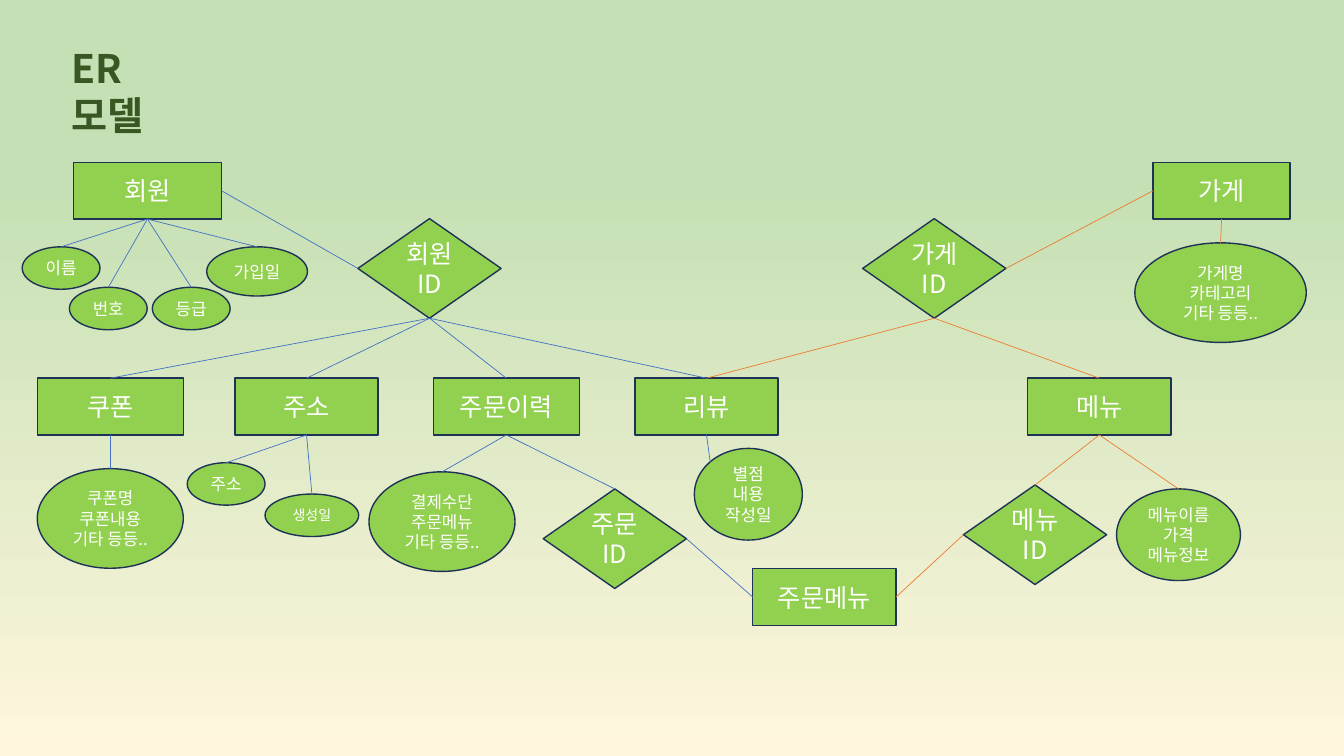
from copy import deepcopy
from lxml.etree import SubElement
from pptx import Presentation
from pptx.dml.color import RGBColor
from pptx.enum.shapes import MSO_CONNECTOR, MSO_SHAPE
from pptx.enum.text import MSO_ANCHOR, PP_ALIGN
from pptx.oxml.ns import qn
from pptx.util import Cm, Pt

FONT = "Noto Sans CJK KR"
COLORS = {"fill": "92D050", "outline": "1E3256", "text": "FFFFFF", "title": "385723",
          "member": "4472C4", "store": "ED7D31"}
BACKGROUND = [(0, "FFF6DD"), (0.76, "C5E0B4"), (1, "C5E0B4")]
TITLE = "ER 모델"

# Entities: name -> text, left, top, width (cm)
ENTITY_H = 1.43
ENTITIES = {
    "member": ("회원", 1.85, 4.09, 3.73),
    "store": ("가게", 29.06, 4.09, 3.45),
    "coupon": ("쿠폰", 0.94, 9.53, 3.68),
    "address": ("주소", 5.92, 9.53, 3.61),
    "history": ("주문이력", 10.92, 9.53, 3.68),
    "review": ("리뷰", 16.0, 9.53, 3.61),
    "menu": ("메뉴", 25.9, 9.53, 3.61),
    "order_menu": ("주문메뉴", 18.97, 14.33, 3.61),
}

# Relationships: name -> text, left, top (cm)
DIAMOND = (3.61, 2.51)
RELATIONS = {
    "member_id": ("회원 ID", 9.02, 5.51),
    "store_id": ("가게ID", 21.74, 5.51),
    "menu_id": ("메뉴 ID", 24.28, 12.22),
    "order_id": ("주문 ID", 13.69, 12.32),
}

# Attributes: owner, colour, lines, left, top, width, height (cm), text size
ATTRIBUTES = [
    ("member", "member", ["이름"], 0.56, 6.22, 1.96, 1.07, 12),
    ("member", "member", ["번호"], 1.75, 7.24, 1.96, 1.07, 12),
    ("member", "member", ["등급"], 3.84, 7.24, 1.96, 1.07, 12),
    ("member", "member", ["가입일"], 5.21, 6.22, 2.54, 1.24, 12),
    ("store", "store", ["가게명", "카테고리", "기타 등등.."], 28.6, 6.12, 4.32, 2.51, 12),
    ("coupon", "member", ["쿠폰명", "쿠폰내용", "기타 등등.."], 0.94, 11.81, 3.68, 2.51, 12),
    ("address", "member", ["주소"], 4.72, 11.66, 1.96, 1.07, 12),
    ("address", "member", ["생성일"], 6.68, 12.45, 2.36, 1.07, 10),
    ("history", "member", ["결제수단", "주문메뉴", "기타 등등.."], 9.3, 11.89, 3.68, 2.51, 12),
    ("review", "member", ["별점", "내용", "작성일"], 17.5, 11.3, 2.72, 2.31, 12),
    ("menu", "store", ["메뉴이름", "가격", "메뉴정보"], 28.14, 12.32, 3.12, 2.31, 12),
]

# Links: from, side, to, side, colour
TOP, LEFT, BOTTOM, RIGHT = range(4)
LINKS = [
    ("member", RIGHT, "member_id", LEFT, "member"),
    ("member_id", BOTTOM, "coupon", TOP, "member"),
    ("member_id", BOTTOM, "address", TOP, "member"),
    ("member_id", BOTTOM, "history", TOP, "member"),
    ("member_id", BOTTOM, "review", TOP, "member"),
    ("history", BOTTOM, "order_id", TOP, "member"),
    ("order_id", RIGHT, "order_menu", LEFT, "member"),
    ("store", LEFT, "store_id", RIGHT, "store"),
    ("store_id", BOTTOM, "review", TOP, "store"),
    ("store_id", BOTTOM, "menu", TOP, "store"),
    ("menu", BOTTOM, "menu_id", TOP, "store"),
    ("order_menu", RIGHT, "menu_id", LEFT, "store"),
]


def rgb(name):
    return RGBColor.from_string(COLORS[name])


def add_run(p, text, size, color, bold=False):
    r = p.add_run()
    r.text = text
    r.font.size = Pt(size)
    r.font.bold = bold
    r.font.name = FONT
    r.font.color.rgb = rgb(color)
    SubElement(r.font._element, qn("a:ea")).set("typeface", FONT)


def add_node(slide, kind, lines, box, size):
    sp = slide.shapes.add_shape(kind, *[Cm(v) for v in box])
    sp.shadow.inherit = False
    sp.fill.solid()
    sp.fill.fore_color.rgb = rgb("fill")
    sp.line.color.rgb = rgb("outline")
    sp.line.width = Pt(1)
    tf = sp.text_frame
    tf.word_wrap = True
    tf.vertical_anchor = MSO_ANCHOR.MIDDLE
    for i, line in enumerate(lines):
        p = tf.add_paragraph() if i else tf.paragraphs[0]
        p.alignment = PP_ALIGN.CENTER
        add_run(p, line, size, "text")
    return sp


def add_link(slide, start, start_side, end, end_side, color):
    line = slide.shapes.add_connector(MSO_CONNECTOR.STRAIGHT, 0, 0, 0, 0)
    line.begin_connect(start, start_side)
    line.end_connect(end, end_side)
    line.line.color.rgb = rgb(color)
    line.line.width = Pt(0.5)
    SubElement(line._element.spPr, qn("a:effectLst"))
    return line


def main():
    prs = Presentation()
    prs.slide_width, prs.slide_height = Cm(33.87), Cm(19.05)
    slide = prs.slides.add_slide(prs.slide_layouts[6])

    # Background gradient, rising from the bottom
    fill = slide.background.fill
    fill.gradient()
    fill.gradient_angle = 90
    stops = next(slide._element.iter(qn("a:gsLst")))
    stops.append(deepcopy(stops[-1]))
    for stop, (position, color) in zip(fill.gradient_stops, BACKGROUND):
        stop.position = position
        stop.color.rgb = RGBColor.from_string(color)

    # Entities and relationships
    nodes = {}
    for name, (text, x, y, w) in ENTITIES.items():
        nodes[name] = add_node(slide, MSO_SHAPE.RECTANGLE, [text], (x, y, w, ENTITY_H), 18)
    for name, (text, x, y) in RELATIONS.items():
        nodes[name] = add_node(slide, MSO_SHAPE.FLOWCHART_DECISION, [text], (x, y, *DIAMOND), 18)
    for start, start_side, end, end_side, color in LINKS:
        add_link(slide, nodes[start], start_side, nodes[end], end_side, color)

    # Attributes, each hanging from its entity
    for owner, color, lines, *box, size in ATTRIBUTES:
        sp = add_node(slide, MSO_SHAPE.OVAL, lines, box, size)
        at_corner = owner == "review"
        line = add_link(slide, nodes[owner], BOTTOM, sp, 1 if at_corner else TOP, color)
        if at_corner:  # site 1 of an oval is its upper left
            inset = (1 - 0.5 ** 0.5) / 2
            line.end_x = int(sp.left + sp.width * inset)
            line.end_y = int(sp.top + sp.height * inset)

    # Title, narrowed to one word per line
    tf = slide.shapes.add_textbox(Cm(1.55), Cm(0.99), Cm(4.04), Cm(1.45)).text_frame
    tf.word_wrap = True
    tf.margin_right = Cm(1.5)
    add_run(tf.paragraphs[0], TITLE, 28, "title", bold=True)

    prs.save("out.pptx")


if __name__ == "__main__":
    main()
